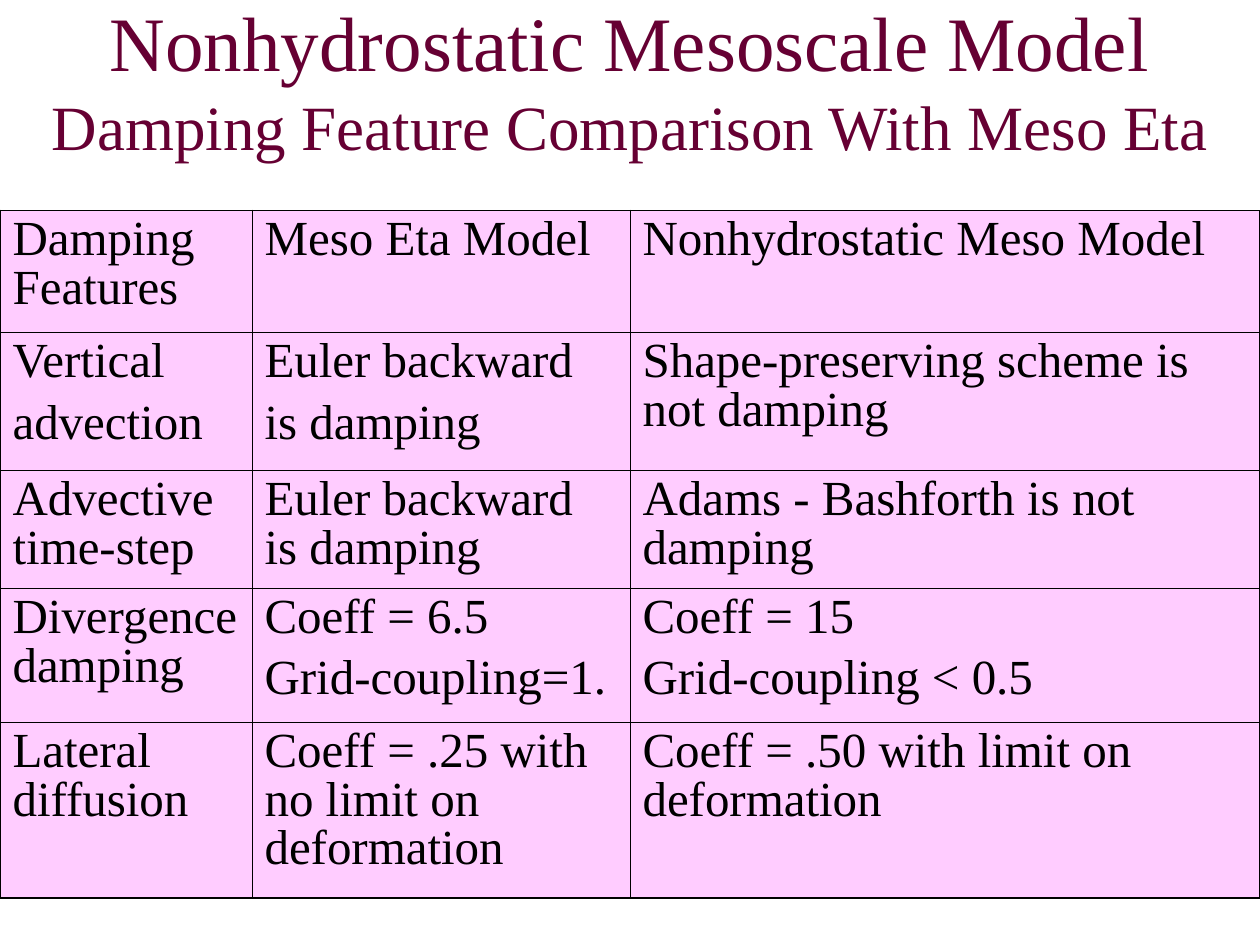
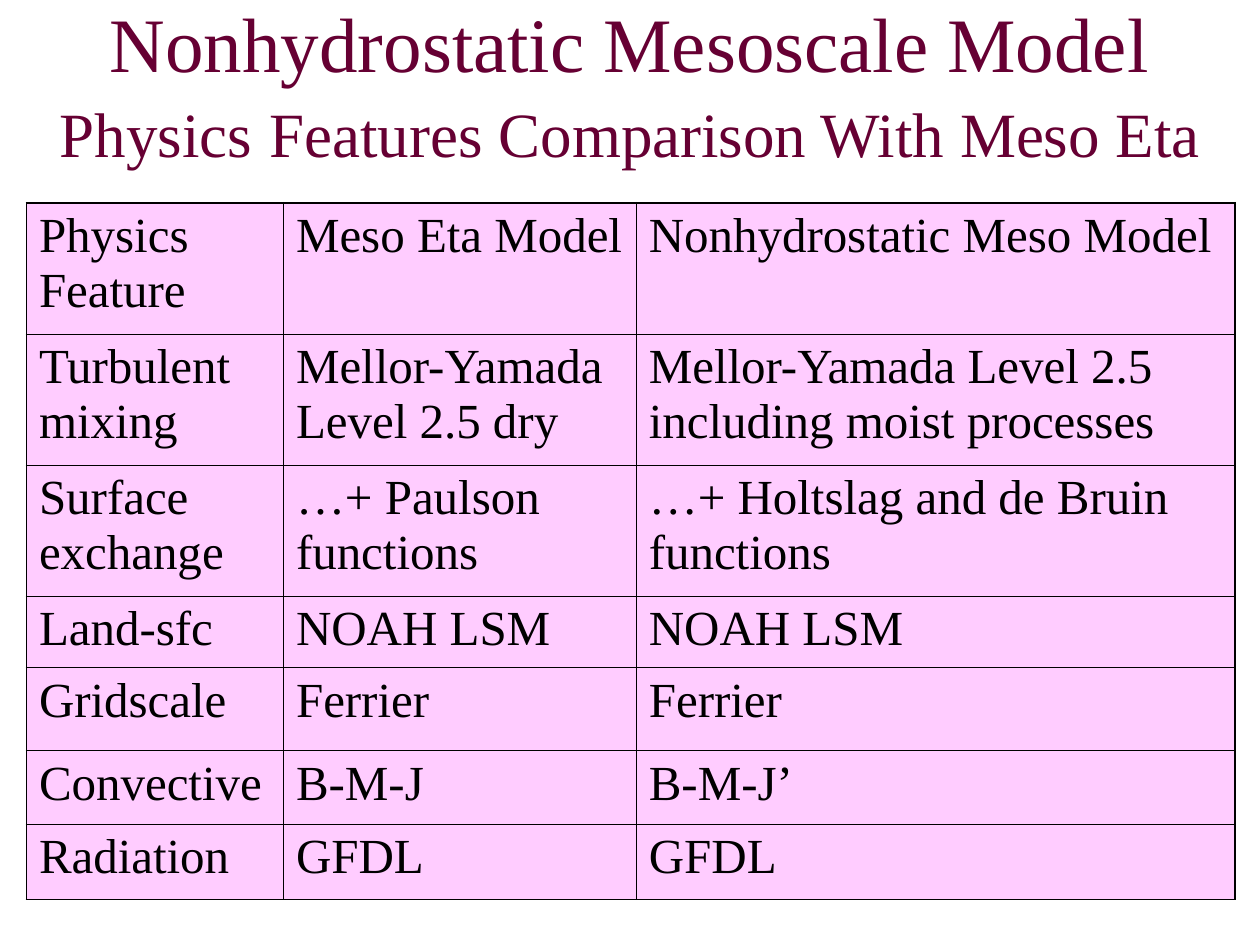
import copy

import pptx
import pptx.dml.color
import pptx.enum.text
import pptx.oxml
import pptx.oxml.ns
import pptx.util
from pptx.util import Inches

# Shared look
FONT = "Times New Roman"
TITLE_COLOR = pptx.dml.color.RGBColor(0x66, 0x00, 0x33)
TEXT_COLOR = pptx.dml.color.RGBColor(0x00, 0x00, 0x00)
CELL_COLOR = pptx.dml.color.RGBColor(0xFF, 0xCC, 0xFF)
BORDER_COLOR = TEXT_COLOR
OUTER_WIDTH = 1.08
INNER_WIDTH = 0.45
MODEL_HEADINGS = ["Meso Eta Model", "Nonhydrostatic Meso Model"]

# Subtitles are lists of (text, size); a line break in a cell starts a paragraph
comparisons = [
    {
        "title_height": 1.25,
        "subtitle": [("Damping Feature Comparison With Meso Eta", 36)],
        "corner": (0, 1.67),
        "columns": [2, 3, 5],
        "heights": [0.97, 1.09, 0.94, 1.06, 1.4],
        "line_spacing": 0.9,
        "rows": [
            ["Damping Features", *MODEL_HEADINGS],
            ["Vertical\nadvection", "Euler backward\nis damping",
             "Shape-preserving scheme is not damping"],
            ["Advective time-step", "Euler backward is damping",
             "Adams - Bashforth is not damping"],
            ["Divergence damping", "Coeff = 6.5\nGrid-coupling=1.",
             "Coeff = 15\nGrid-coupling < 0.5"],
            ["Lateral diffusion", "Coeff = .25 with no limit on deformation",
             "Coeff = .50 with limit on deformation"],
        ],
    },
    {
        "title_height": 1.33,
        "subtitle": [("Physics", 36), (" ", 40),
                     ("Features Comparison With Meso Eta", 36)],
        "corner": (0.21, 1.61),
        "columns": [2.04, 2.8, 4.75],
        "heights": [1.04, 1.04, 1.04, 0.57, 0.66, 0.58, 0.6],
        "line_spacing": 1.0,
        "rows": [
            ["Physics Feature", *MODEL_HEADINGS],
            ["Turbulent mixing", "Mellor-Yamada Level 2.5 dry",
             "Mellor-Yamada Level 2.5 including moist processes"],
            ["Surface exchange", "…+ Paulson functions",
             "…+ Holtslag and de Bruin functions"],
            ["Land-sfc", "NOAH LSM", "NOAH LSM"],
            ["Gridscale", "Ferrier", "Ferrier"],
            ["Convective", "B-M-J", "B-M-J’"],
            ["Radiation", "GFDL", "GFDL"],
        ],
    },
]


def add_text(paragraph, text, size=28, color=TEXT_COLOR):
    run = paragraph.add_run()
    run.text = text
    run.font.name = FONT
    run.font.size = pptx.util.Pt(size)
    run.font.color.rgb = color
    return run


def add_border(cell, side, width):
    cell._tc.get_or_add_tcPr().append(pptx.oxml.parse_xml(
        f'<a:ln{side} {pptx.oxml.ns.nsdecls("a")} w="{pptx.util.Pt(width)}">'
        f'<a:solidFill><a:srgbClr val="{BORDER_COLOR}"/></a:solidFill></a:ln{side}>'))


presentation = pptx.Presentation()
presentation.slide_width = Inches(10)
presentation.slide_height = Inches(7.5)

for comparison in comparisons:
    slide = presentation.slides.add_slide(presentation.slide_layouts[5])

    # Title: model name, then the subject on a second line
    title = slide.shapes.title
    title.left, title.top = Inches(0), Inches(0)
    title.width, title.height = Inches(10), Inches(comparison["title_height"])
    frame = title.text_frame
    frame.auto_size = pptx.enum.text.MSO_AUTO_SIZE.NONE
    frame.vertical_anchor = pptx.enum.text.MSO_ANCHOR.MIDDLE
    paragraph = frame.paragraphs[0]
    paragraph.alignment = pptx.enum.text.PP_ALIGN.CENTER
    name_run = add_text(paragraph, "Nonhydrostatic Mesoscale Model",
                        size=44, color=TITLE_COLOR)
    paragraph.add_line_break()
    # The break takes the format of the line it ends
    paragraph._p[-1].append(copy.deepcopy(name_run._r.rPr))
    for text, size in comparison["subtitle"]:
        add_text(paragraph, text, size=size, color=TITLE_COLOR)

    # Table grid
    rows, columns, heights = (comparison[key] for key in ("rows", "columns", "heights"))
    left, top = comparison["corner"]
    table = slide.shapes.add_table(
        len(rows), len(columns), Inches(left), Inches(top),
        Inches(sum(columns)), Inches(sum(heights))).table
    table.first_row = False
    table.horz_banding = False
    for column, width in zip(table.columns, columns):
        column.width = Inches(width)
    for row, height in zip(table.rows, heights):
        row.height = Inches(height)

    # Cells: heavy outer frame, thin inner lines
    for row_index, row_texts in enumerate(rows):
        for column_index, cell_text in enumerate(row_texts):
            cell = table.cell(row_index, column_index)
            on_edge = {
                "L": column_index == 0,
                "R": column_index == len(columns) - 1,
                "T": row_index == 0,
                "B": row_index == len(rows) - 1,
            }
            for side, outer in on_edge.items():
                add_border(cell, side, OUTER_WIDTH if outer else INNER_WIDTH)
            cell.fill.solid()
            cell.fill.fore_color.rgb = CELL_COLOR
            for line_index, line in enumerate(cell_text.split("\n")):
                if line_index == 0:
                    paragraph = cell.text_frame.paragraphs[0]
                else:
                    paragraph = cell.text_frame.add_paragraph()
                    paragraph.space_before = pptx.util.Pt(7)
                paragraph.line_spacing = comparison["line_spacing"]
                add_text(paragraph, line)

presentation.save("out.pptx")
